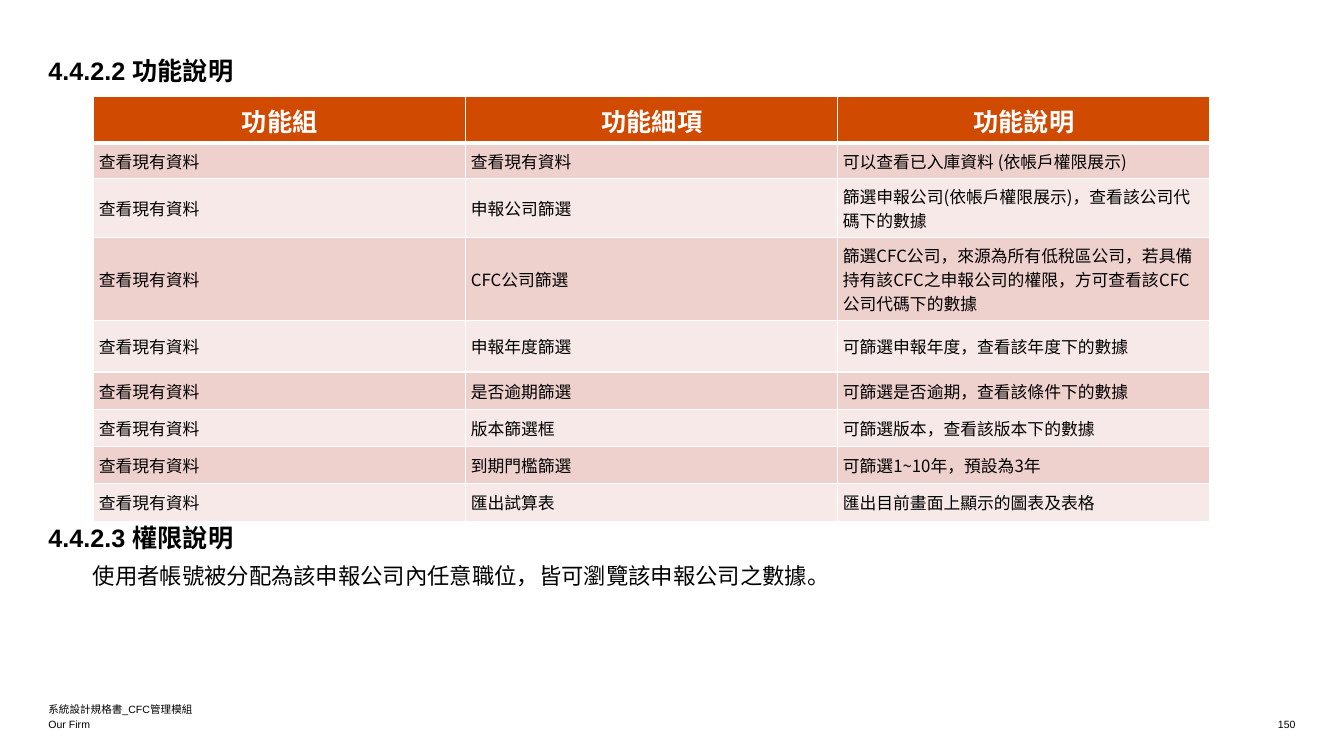
from lxml.etree import SubElement
from pptx import Presentation
from pptx.dml.color import RGBColor
from pptx.enum.text import MSO_ANCHOR, MSO_AUTO_SIZE, PP_ALIGN
from pptx.oxml.ns import qn
from pptx.util import Inches, Pt

COLORS = {
    "text": "000000",
    "white": "FFFFFF",
    "header": "D04A02",
    "odd row": "EED0CC",
    "even row": "F7E9E7",
}
LATIN = "Arial"
CHINESE = "Noto Sans CJK SC"
LEFT_EDGE = 0.48

HEADERS = ["功能組", "功能細項", "功能說明"]
GROUP = "查看現有資料"
FEATURES = [
    ("查看現有資料", "可以查看已入庫資料 (依帳戶權限展示)", 0.35),
    ("申報公司篩選", "篩選申報公司(依帳戶權限展示)，查看該公司代碼下的數據", 0.37),
    ("CFC公司篩選", "篩選CFC公司，來源為所有低稅區公司，若具備持有該CFC之申報公司的權限，"
     "方可查看該CFC公司代碼下的數據", 0.37),
    ("申報年度篩選", "可篩選申報年度，查看該年度下的數據", 0.51),
    ("是否逾期篩選", "可篩選是否逾期，查看該條件下的數據", 0.37),
    ("版本篩選框", "可篩選版本，查看該版本下的數據", 0.37),
    ("到期門檻篩選", "可篩選1~10年，預設為3年", 0.37),
    ("匯出試算表", "匯出目前畫面上顯示的圖表及表格", 0.37),
]


def write_text(frame, text, size, font=LATIN, color="text", bold=False,
               align=PP_ALIGN.LEFT, anchor=MSO_ANCHOR.TOP, after=0):
    frame.word_wrap = True
    frame.vertical_anchor = anchor
    para = frame.paragraphs[0]
    para.alignment = align
    para.space_after = Pt(after)
    span = para.add_run()
    span.text = text
    span.font.size = Pt(size)
    span.font.bold = bold
    span.font.color.rgb = RGBColor.from_string(COLORS[color])
    span.font.name = font
    east_asian = SubElement(span.font._element, qn("a:ea"))
    east_asian.set("typeface", CHINESE)


def set_margins(frame, margin):
    frame.margin_left = frame.margin_right = Inches(margin)
    frame.margin_top = frame.margin_bottom = Inches(margin)


def place_text(box, text, left, top, width, height, **text_format):
    """Move a text box or placeholder into place and fill it."""
    box.left, box.top = Inches(left), Inches(top)
    box.width, box.height = Inches(width), Inches(height)
    frame = box.text_frame
    set_margins(frame, 0)
    frame.auto_size = MSO_AUTO_SIZE.NONE
    write_text(frame, text, **text_format)


def add_text(page, text, left, top, width, height, **text_format):
    box = page.shapes.add_textbox(0, 0, 0, 0)
    place_text(box, text, left, top, width, height, **text_format)


def set_borders(cell, bottom_width=1):
    properties = cell._tc.get_or_add_tcPr()
    for side, width in {"L": 1, "R": 1, "T": 1, "B": bottom_width}.items():
        line = SubElement(properties, qn(f"a:ln{side}"), w=str(Pt(width)))
        fill = SubElement(line, qn("a:solidFill"))
        SubElement(fill, qn("a:srgbClr"), val=COLORS["white"])


def fill_cell(cell, color):
    cell.fill.solid()
    cell.fill.fore_color.rgb = RGBColor.from_string(COLORS[color])


def add_feature_table(page, left, top, width):
    heights = [0.37] + [height for _, _, height in FEATURES]
    table = page.shapes.add_table(
        len(heights), len(HEADERS), Inches(left), Inches(top),
        Inches(width), Inches(sum(heights))).table
    for column in table.columns:
        column.width = Inches(width / len(HEADERS))
    for row, height in zip(table.rows, heights):
        row.height = Inches(height)

    for column, text in enumerate(HEADERS):
        cell = table.cell(0, column)
        set_borders(cell, bottom_width=3)
        fill_cell(cell, "header")
        write_text(cell.text_frame, text, 18, color="white", bold=True,
                   align=PP_ALIGN.CENTER)

    for row, (feature, description, _) in enumerate(FEATURES, start=1):
        for column, text in enumerate([GROUP, feature, description]):
            cell = table.cell(row, column)
            set_borders(cell)
            fill_cell(cell, "odd row" if row % 2 else "even row")
            set_margins(cell, 0.05)
            cell.vertical_anchor = MSO_ANCHOR.MIDDLE
            write_text(cell.text_frame, text, 12, font=CHINESE,
                       anchor=MSO_ANCHOR.MIDDLE)


def add_permission_section(page, left, top):
    add_text(page, "4.4.2.3 權限說明", left, top, 3.98, 0.3,
             size=18, bold=True, after=6)
    add_text(page, "使用者帳號被分配為該申報公司內任意職位，皆可瀏覽該申報公司之數據。",
             left + 0.44, top + 0.4, 7.45, 0.27, size=16, font=CHINESE, after=6)


def add_footer(page, left, top, width):
    line_height = 0.15
    small = {"size": 7.5, "anchor": MSO_ANCHOR.BOTTOM}
    for index, text in enumerate(["系統設計規格書_CFC管理模組", "Our Firm"]):
        add_text(page, text, left, top + index * line_height, 5.99, line_height, **small)
    number_width = 1.93
    add_text(page, "150", left + width - number_width, top + line_height,
             number_width, line_height, align=PP_ALIGN.RIGHT, **small)


def main():
    deck = Presentation()
    deck.slide_width, deck.slide_height = Inches(13.33), Inches(7.5)
    page = deck.slides.add_slide(deck.slide_layouts[5])
    place_text(page.shapes.title, "4.4.2.2 功能說明", LEFT_EDGE, 0.55, 3.98, 0.3,
               size=18, bold=True, after=6)
    add_feature_table(page, 0.93, 0.96, 11.07)
    add_permission_section(page, LEFT_EDGE, 5.18)
    add_footer(page, LEFT_EDGE, 6.95, 12.37)
    deck.save("out.pptx")


if __name__ == "__main__":
    main()
